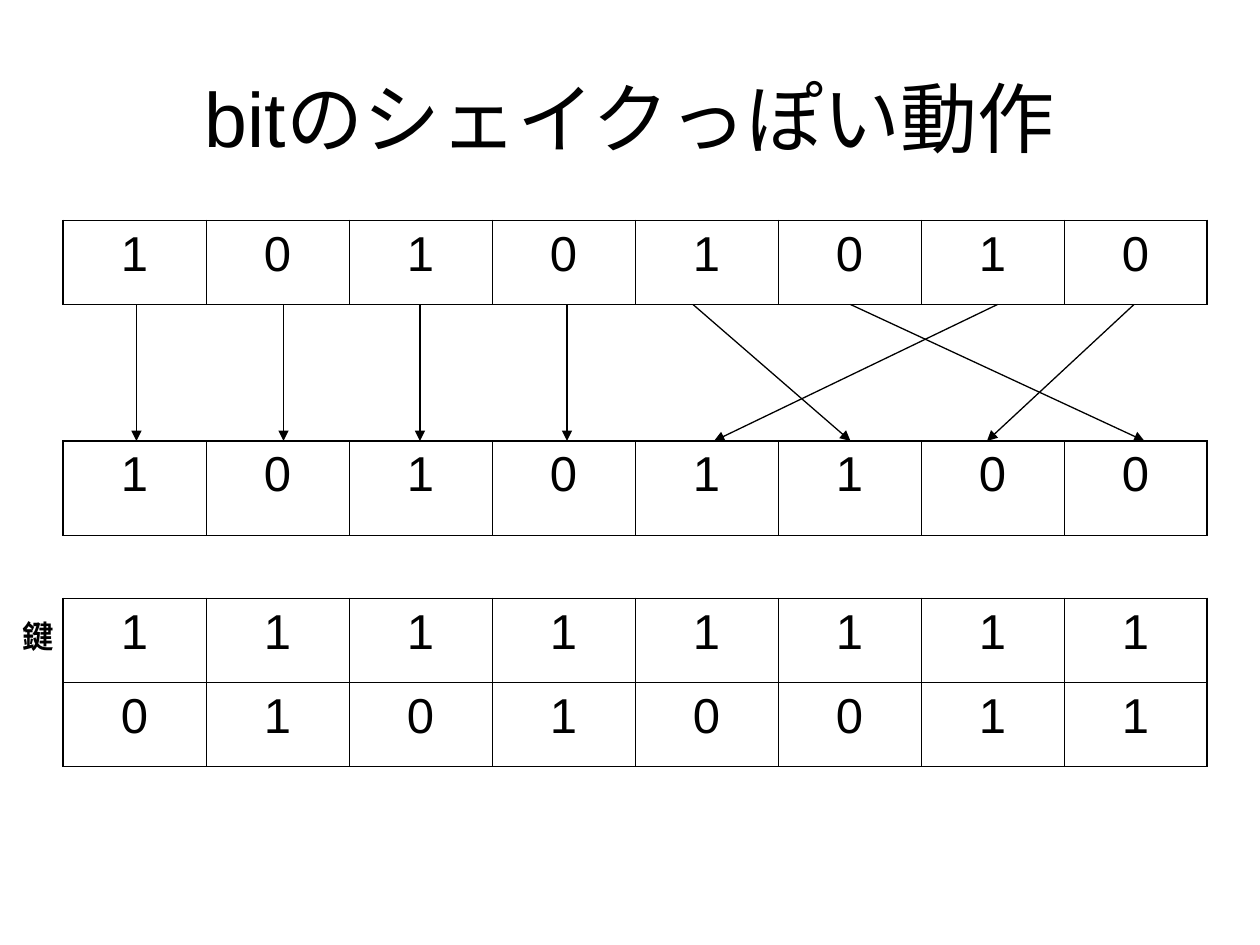
from dataclasses import dataclass

from lxml.etree import SubElement as Sub
from pptx import Presentation
from pptx.dml.color import RGBColor
from pptx.enum.shapes import MSO_CONNECTOR as Conn
from pptx.enum.text import MSO_ANCHOR as Anchor, MSO_AUTO_SIZE as Auto, PP_ALIGN as Align
from pptx.oxml.ns import qn
from pptx.util import Pt

BLACK = RGBColor(0, 0, 0)
FONT = "Arial"
LEFT, CELL = 36, 81.75
THIN, THICK = 0.45, 1.08


@dataclass
class Grid:
    top: float
    high: float
    rows: list[str]  # one digit per cell


@dataclass
class Arrow:
    start: float
    end: float


GRIDS = [
    Grid(126, 48, ["10101010"]),
    Grid(252, 54, ["10101100"]),
    Grid(342, 48, ["11111111", "01010011"]),
]
ARROWS = [
    Arrow(78, 78), Arrow(162, 162), Arrow(240, 240), Arrow(324, 324),
    Arrow(396, 486), Arrow(486, 654), Arrow(570, 408), Arrow(648, 564),
]


def add_run(para, text: str, size: float, bold: bool = False) -> None:
    run = para.add_run()
    run.text = text
    font = run.font
    font.name, font.size, font.bold = FONT, Pt(size), bold
    font.color.rgb = BLACK


def add_edge(cell, side: str, width: float) -> None:
    line = Sub(cell._tc.get_or_add_tcPr(), qn(f"a:ln{side}"), w=str(Pt(width)))
    fill = Sub(line, qn("a:solidFill"))
    Sub(fill, qn("a:srgbClr"), val=str(BLACK))


def add_grid(slide, grid: Grid) -> None:
    count, cols = len(grid.rows), len(grid.rows[0])
    table = slide.shapes.add_table(
        count, cols, Pt(LEFT), Pt(grid.top), Pt(CELL * cols), Pt(grid.high * count)
    ).table
    table.first_row = table.horz_banding = False
    for r, bits in enumerate(grid.rows):
        for c, bit in enumerate(bits):
            cell = table.cell(r, c)
            add_edge(cell, "L", THICK if c == 0 else THIN)
            add_edge(cell, "R", THICK if c == cols - 1 else THIN)
            add_edge(cell, "T", THICK)
            add_edge(cell, "B", THICK)
            cell.fill.background()
            para = cell.text_frame.paragraphs[0]
            para.alignment, para.space_before = Align.CENTER, Pt(7)
            add_run(para, bit, 28)


def add_arrow(slide, arrow: Arrow, top: float, base: float) -> None:
    link = slide.shapes.add_connector(
        Conn.STRAIGHT, Pt(arrow.start), Pt(top), Pt(arrow.end), Pt(base)
    )
    link.line.color.rgb = BLACK
    link.line.width = Pt(0.75)
    Sub(link.line._get_or_add_ln(), qn("a:tailEnd"), type="triangle")
    Sub(link._element.spPr, qn("a:effectLst"))


def main() -> None:
    deck = Presentation()
    deck.slide_width, deck.slide_height = Pt(720), Pt(540)
    slide = deck.slides.add_slide(deck.slide_layouts[5])

    # Title
    title = slide.shapes.title
    title.left, title.top, title.width, title.height = Pt(36), Pt(21.6), Pt(648), Pt(90)
    title.text_frame.vertical_anchor = Anchor.MIDDLE
    para = title.text_frame.paragraphs[0]
    para.alignment = Align.CENTER
    add_run(para, "bitのシェイクっぽい動作", 44)

    # Bit rows: before, after, key
    for grid in GRIDS:
        add_grid(slide, grid)

    # Moves from the first row to the second
    first, second = GRIDS[:2]
    for arrow in ARROWS:
        add_arrow(slide, arrow, first.top + first.high, second.top)

    # Key label
    frame = slide.shapes.add_textbox(Pt(6), Pt(349.2), Pt(42), Pt(28.8)).text_frame
    frame.word_wrap = True
    frame.auto_size = Auto.SHAPE_TO_FIT_TEXT
    para = frame.paragraphs[0]
    para.space_before = Pt(11.2)
    add_run(para, "鍵", 18, True)

    deck.save("out.pptx")


if __name__ == "__main__":
    main()
